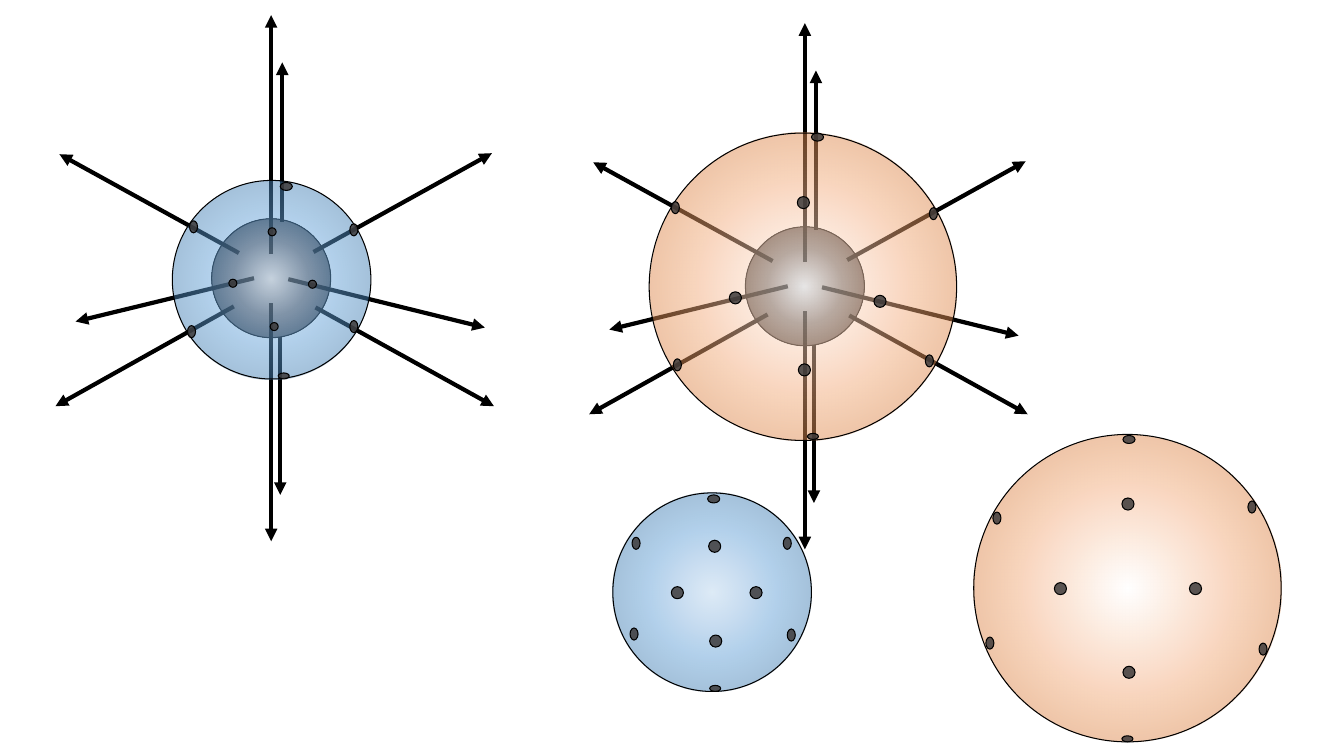
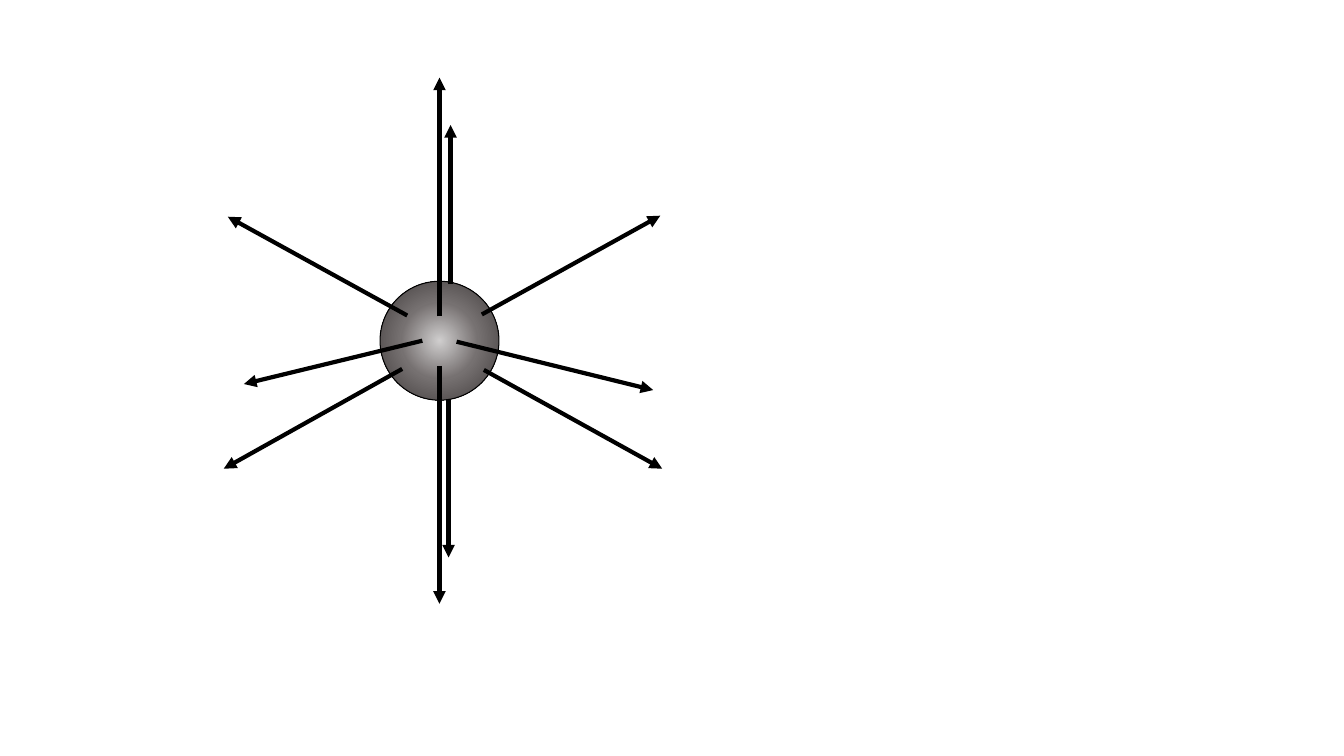
from typing import NamedTuple

from lxml import etree
from pptx import Presentation
from pptx.dml.color import RGBColor
from pptx.enum.shapes import MSO_CONNECTOR, MSO_SHAPE
from pptx.oxml import parse_xml
from pptx.oxml.ns import qn
from pptx.util import Inches, Pt

CELL = Inches(0.1)  # grid unit; every length below counts cells
COLUMNS, ROWS = 133.33, 75

COLORS = {
    "ink": "000000",
    "pore": "3B3838",
    "core": ("D0CECE", "767171", "3B3838"),
    "blue": ("BDD7EE", "63A0D7", "255E91"),
    "orange": ("FFFFFF", "F4B183", "C55A11"),
}
STOPS = (0, 46, 100)
PORE_ALPHA, SHELL_ALPHA = 84, 49
OUTLINE = {"width": Pt(0.75)}
RAY_LINE = {"width": Pt(3)}
DRAWING_NS = "http://schemas.openxmlformats.org/drawingml/2006/main"


class Point(NamedTuple):
    x: float
    y: float


class Size(NamedTuple):
    width: float
    height: float


class Shell(NamedTuple):
    center: Point
    diameter: float
    color: str
    pores: tuple  # pore centers, measured from the shell center
    face_pore: float = 1.2


class Ray(NamedTuple):
    start: Point  # both ends measured from the core center
    tip: Point


CORE_DIAMETER = 11.8
BLUE_DIAMETER, ORANGE_DIAMETER = 19.7, 30.5
SIDE_PORE, TOP_PORE, BOTTOM_PORE = Size(0.8, 1.2), Size(1.2, 0.8), Size(1.1, 0.6)

RAYS = tuple(Ray(Point(*start), Point(*tip)) for start, tip in (
    ((1.7, 0.1), (21.2, 4.9)),
    ((0, -2.4), (0, -26.1)),
    ((-1.7, 0), (-19.4, 4.3)),
    ((-3.2, -2.5), (-21, -12.3)),
    ((4.2, -2.6), (21.9, -12.4)),
    ((1.1, -5.6), (1.1, -21.4)),
    ((0.9, 5.8), (0.9, 21.5)),
    ((-3.7, 2.8), (-21.4, 12.7)),
    ((4.4, 2.9), (22.1, 12.7)),
    ((0, 2.5), (0, 26.1)),
))

# Pore order: four on the face, four on the sides, then top and bottom.
FREE_SHELLS = (
    Shell(Point(70.65, 58.75), BLUE_DIAMETER, "blue", (
        (4.35, 0.05), (0.25, -4.55), (-3.45, 0.05), (0.35, 4.85),
        (-7.55, -4.85), (7.45, -4.85), (-7.75, 4.15), (7.85, 4.25),
        (0.15, -9.25), (0.3, 9.55))),
    Shell(Point(111.85, 58.35), ORANGE_DIAMETER, "orange", (
        (6.75, 0.05), (0.05, -8.35), (-6.65, 0.05), (0.15, 8.35),
        (-12.95, -6.95), (12.35, -8.05), (-13.65, 5.45), (13.45, 6.05),
        (0.15, -14.75), (0, 14.95))),
)
CORED_SHELLS = (
    (Point(26.9, 27.6), Shell(Point(26.95, 27.75), BLUE_DIAMETER, "blue", (
        (4.05, 0.45), (0.05, -4.75), (-3.85, 0.35), (0.25, 4.65),
        (-7.75, -5.25), (8.15, -4.95), (-7.95, 5.15), (8.15, 4.65),
        (1.45, -9.25), (1.2, 9.55)), face_pore=0.8)),
    (Point(79.85, 28.4), Shell(Point(79.65, 28.45), ORANGE_DIAMETER, "orange", (
        (7.65, 1.45), (0.05, -8.35), (-6.7, 1.1), (0.15, 8.25),
        (-12.65, -7.85), (12.95, -7.25), (-12.45, 7.75), (12.55, 7.35),
        (1.45, -14.85), (1, 14.85)))),
)
BARE_CORE = Point(43.6, 33.8)


def cells(count: float) -> int:
    return round(count * CELL)


def shifted(origin: Point, offset: tuple) -> Point:
    return Point(origin.x + offset[0], origin.y + offset[1])


def style_line(line, line_format: dict) -> None:
    line.color.rgb = RGBColor.from_string(COLORS["ink"])
    for name, value in line_format.items():
        setattr(line, name, value)


def add_ellipse(slide, center: Point, size: Size, color: str, alpha: int):
    ellipse = slide.shapes.add_shape(
        MSO_SHAPE.OVAL,
        cells(center.x - size.width / 2), cells(center.y - size.height / 2),
        cells(size.width), cells(size.height))
    ellipse.shadow.inherit = False
    ellipse.fill.solid()
    ellipse.fill.fore_color.rgb = RGBColor.from_string(color)
    solid = ellipse._element.spPr.find(qn("a:solidFill"))
    etree.SubElement(solid[0], qn("a:alpha"), val=str(alpha * 1000))
    style_line(ellipse.line, OUTLINE)
    return ellipse


def add_sphere(slide, center: Point, diameter: float, color: str, alpha: int = 100) -> None:
    """Draw a circle shaded radially from its center."""
    shades = COLORS[color]
    sphere = add_ellipse(slide, center, Size(diameter, diameter), shades[0], alpha)
    stops = "".join(
        f'<a:gs pos="{stop * 1000}"><a:srgbClr val="{shade}">'
        f'<a:alpha val="{alpha * 1000}"/></a:srgbClr></a:gs>'
        for stop, shade in zip(STOPS, shades))
    gradient = parse_xml(
        f'<a:gradFill xmlns:a="{DRAWING_NS}" rotWithShape="1"><a:gsLst>{stops}</a:gsLst>'
        '<a:path path="circle"><a:fillToRect l="50000" t="50000" r="50000" b="50000"/>'
        '</a:path></a:gradFill>')
    properties = sphere._element.spPr
    properties.replace(properties.find(qn("a:solidFill")), gradient)


def add_ray(slide, start: Point, tip: Point) -> None:
    ray = slide.shapes.add_connector(
        MSO_CONNECTOR.STRAIGHT, *(cells(length) for length in (*start, *tip)))
    style_line(ray.line, RAY_LINE)
    properties = ray._element.spPr
    etree.SubElement(properties.find(qn("a:ln")), qn("a:tailEnd"), type="triangle")
    etree.SubElement(properties, qn("a:effectLst"))


def add_core(slide, center: Point) -> None:
    """Draw the dark core and the rays leaving it."""
    add_sphere(slide, center, CORE_DIAMETER, "core")
    for ray in RAYS:
        add_ray(slide, shifted(center, ray.start), shifted(center, ray.tip))


def add_shell(slide, shell: Shell) -> None:
    """Draw a translucent shell with its pores."""
    add_sphere(slide, shell.center, shell.diameter, shell.color, SHELL_ALPHA)
    face = Size(shell.face_pore, shell.face_pore)
    sizes = [face] * 4 + [SIDE_PORE] * 4 + [TOP_PORE, BOTTOM_PORE]
    for offset, size in zip(shell.pores, sizes):
        add_ellipse(slide, shifted(shell.center, offset), size, COLORS["pore"], PORE_ALPHA)


def main() -> None:
    deck = Presentation()
    deck.slide_width, deck.slide_height = cells(COLUMNS), cells(ROWS)
    blank = deck.slide_layouts[6]

    shells_slide = deck.slides.add_slide(blank)
    for shell in FREE_SHELLS:
        add_shell(shells_slide, shell)
    for core_center, shell in CORED_SHELLS:
        add_core(shells_slide, core_center)
        add_shell(shells_slide, shell)

    core_slide = deck.slides.add_slide(blank)
    add_core(core_slide, BARE_CORE)

    deck.save("out.pptx")


if __name__ == "__main__":
    main()
